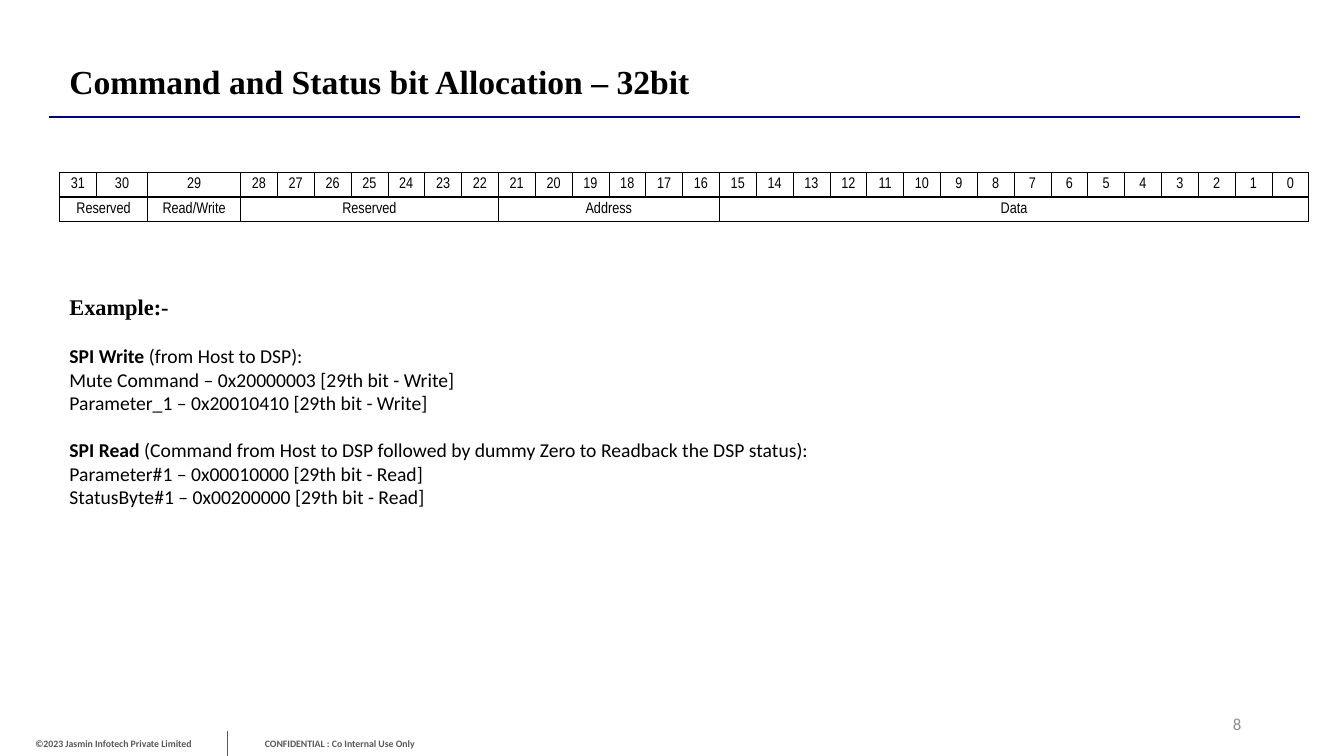
from lxml.etree import SubElement
from pptx import Presentation
from pptx.dml.color import RGBColor
from pptx.enum.shapes import MSO_CONNECTOR
from pptx.enum.text import MSO_ANCHOR, PP_ALIGN
from pptx.oxml import parse_xml
from pptx.oxml.ns import nsdecls, qn
from pptx.util import Inches, Pt

HUES = {"ink": "000000", "gray": "595959", "pale": "8C8C8C", "navy": "000087"}
LOOKS = {
    "title": {"name": "Times New Roman", "size": Pt(24), "bold": True, "hue": "ink"},
    "head": {"name": "Times New Roman", "size": Pt(16), "bold": True, "hue": "ink"},
    "body": {"name": "Calibri", "size": Pt(14), "bold": False, "hue": "ink"},
    "strong": {"name": "Calibri", "size": Pt(14), "bold": True, "hue": "ink"},
    "cell": {"name": "Arial Narrow", "size": Pt(11), "bold": False, "hue": "ink"},
    "foot": {"name": "Calibri", "size": Pt(7), "bold": True, "hue": "gray"},
    "page": {"name": "Calibri", "size": Pt(12), "bold": False, "hue": "pale"},
}
FIELDS = [("Reserved", 2), ("Read/Write", 1), ("Reserved", 7), ("Address", 6), ("Data", 16)]
GAP = Pt(17)
LINES = [
    (0, [("Example:-", "head")]),
    (GAP, [("SPI Write ", "strong"), ("(from Host to DSP):", "body")]),
    (0, [("Mute Command – 0x20000003 [29th bit - Write]", "body")]),
    (0, [("Parameter_1 – 0x20010410 [29th bit - Write]", "body")]),
    (GAP, [("SPI Read", "strong"),
           (" (Command from Host to DSP followed by dummy Zero to Readback the DSP status):", "body")]),
    (0, [("Parameter#1 – 0x00010000 [29th bit - Read]", "body")]),
    (0, [("StatusByte#1 – 0x00200000 [29th bit - Read]", "body")]),
]


def add_run(para, text, look):
    run = para.add_run()
    run.text = text
    for key, value in LOOKS[look].items():
        if key == "hue":
            run.font.color.rgb = RGBColor.from_string(HUES[value])
        else:
            setattr(run.font, key, value)


def add_text(slide, box, lines, align=PP_ALIGN.LEFT, anchor=MSO_ANCHOR.TOP):
    frame = slide.shapes.add_textbox(*map(Inches, box)).text_frame
    frame.word_wrap = True
    frame.vertical_anchor = anchor
    for i, (gap, runs) in enumerate(lines):
        para = frame.add_paragraph() if i else frame.paragraphs[0]
        para.alignment = align
        if gap:
            para.space_before = gap
        for text, look in runs:
            add_run(para, text, look)


def add_rule(slide, ends, hue, width):
    rule = slide.shapes.add_connector(MSO_CONNECTOR.STRAIGHT, *map(Inches, ends))
    rule.line.color.rgb = RGBColor.from_string(HUES[hue])
    rule.line.width = Pt(width)
    SubElement(rule._element.spPr, qn("a:effectLst"))


def add_edges(cell, widths):
    props = cell._tc.get_or_add_tcPr()
    for i, (side, width) in enumerate(zip("LRTB", widths)):
        props.insert(i, parse_xml(
            f'<a:ln{side} {nsdecls("a")} w="{Pt(width)}"><a:solidFill>'
            f'<a:srgbClr val="{HUES["ink"]}"/></a:solidFill></a:ln{side}>'))


def fill_cell(cell, text):
    form = {"margin_left": Inches(0.01), "margin_right": Inches(0.01),
            "margin_top": Inches(0.01), "margin_bottom": Inches(0.05),
            "vertical_anchor": MSO_ANCHOR.BOTTOM}
    for key, value in form.items():
        setattr(cell, key, value)
    para = cell.text_frame.paragraphs[0]
    para.alignment = PP_ALIGN.CENTER
    add_run(para, text, "cell")


def add_bits(slide, box):
    left, top, width, height = box
    count = sum(span for name, span in FIELDS)
    table = slide.shapes.add_table(2, count, *map(Inches, box)).table
    table.first_row = table.horz_banding = False
    wide = {1: 0.51, 2: 0.92}
    unit = (width - sum(wide.values())) / (count - len(wide))
    for i, col in enumerate(table.columns):
        col.width = Inches(wide.get(i, unit))
    for row in table.rows:
        row.height = Inches(height / 2)
        for i, cell in enumerate(row.cells):
            cell.fill.background()
            add_edges(cell, (0.5 if i else 1, 1 if i == count - 1 else 0.5, 1, 1))
    for i in range(count):
        fill_cell(table.cell(0, i), str(count - 1 - i))
    start = 0
    for name, span in FIELDS:
        cell = table.cell(1, start)
        if span > 1:
            cell.merge(table.cell(1, start + span - 1))
        fill_cell(cell, name)
        start += span


def add_head(slide, box):
    left, top, width, height = box
    add_text(slide, (left + 0.1, top, 7.44, 0.5),
             [(0, [("Command and Status bit Allocation – 32bit", "title")])])
    add_rule(slide, (left, top + height, left + width, top + height), "navy", 1.5)


def add_foot(slide, box):
    left, top, width, height = box
    split = left + 2.25
    notes = [("©2023 Jasmin Infotech Private Limited", left, 2.25),
             ("CONFIDENTIAL : Co Internal Use Only", left + 2.08, 2.58)]
    for text, x, size in notes:
        add_text(slide, (x, top + 0.25, size, 0.22), [(0, [(text, "foot")])],
                 PP_ALIGN.CENTER, MSO_ANCHOR.MIDDLE)
    add_rule(slide, (split, top + 0.23, split, top + height), "gray", 0.5)
    add_text(slide, (left + width - 2.25, top, 1.33, 0.33), [(0, [("8", "page")])],
             PP_ALIGN.RIGHT, MSO_ANCHOR.MIDDLE)


def main():
    deck = Presentation()
    deck.slide_width, deck.slide_height = Inches(13.33), Inches(7.5)
    slide = deck.slides.add_slide(deck.slide_layouts[6])
    add_head(slide, (0.49, 0.56, 12.4, 0.6))
    add_bits(slide, (0.59, 1.71, 12.4, 0.49))
    add_text(slide, (0.59, 2.86, 7.89, 2.26), LINES)
    add_foot(slide, (0, 7.02, 13.33, 0.48))
    deck.save("out.pptx")


if __name__ == "__main__":
    main()
